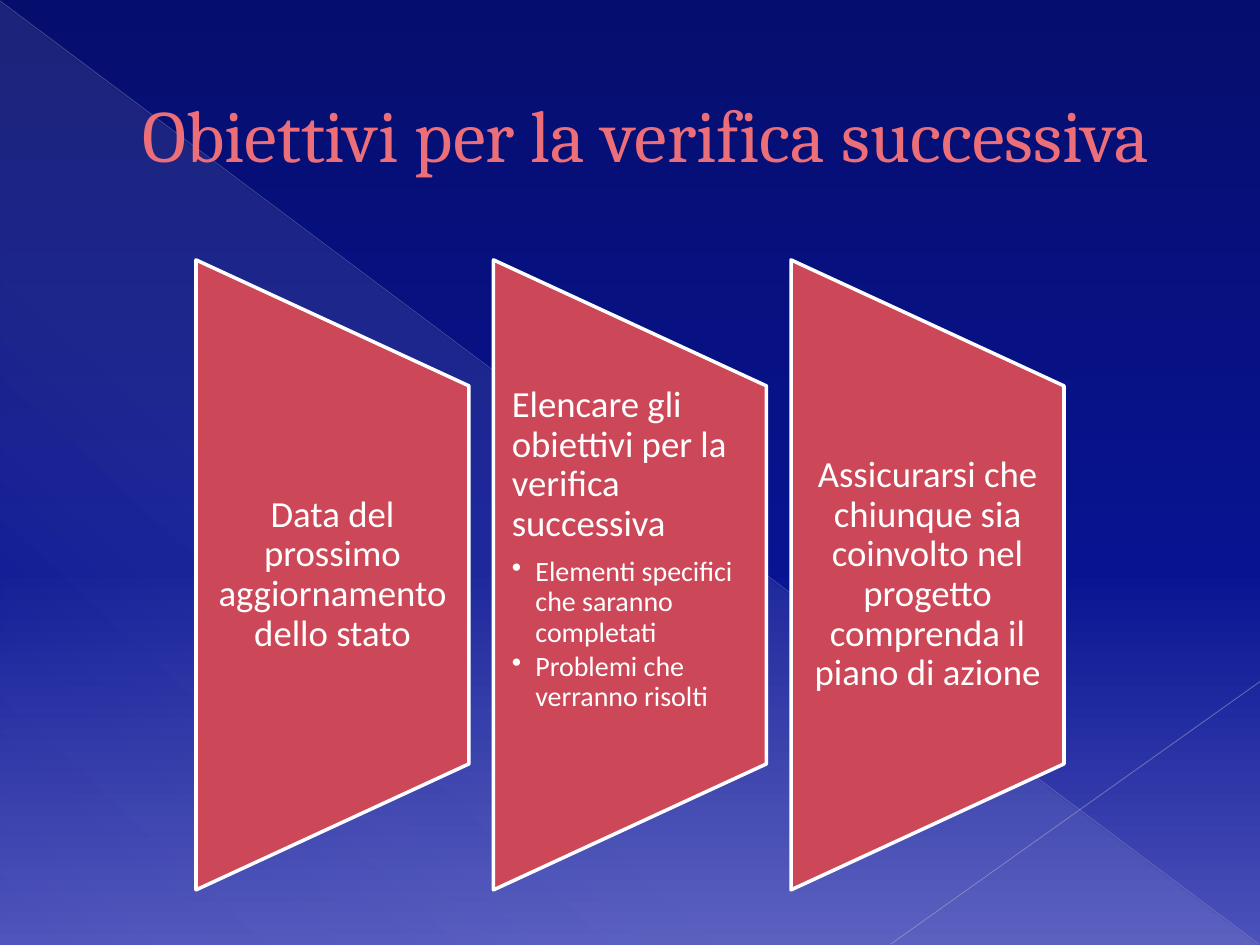
from lxml.etree import SubElement
from pptx import Presentation
from pptx.dml.color import RGBColor
from pptx.enum.shapes import MSO_CONNECTOR as Connector, MSO_SHAPE as Shape
from pptx.enum.text import MSO_ANCHOR as Anchor, PP_ALIGN as Align
from pptx.oxml import parse_xml
from pptx.oxml.ns import nsdecls, qn
from pptx.util import Pt

COLORS = {
    "night": "060E6D", "royal": "071391", "violet": "4C52BA",
    "white": "FFFFFF", "panel": "CC4757",
    "title": "EB6E78", "title_edge": "8D313C",
    "long_ray": "B1B2C7", "short_ray": "BABACD",
}


def rgb(name):
    return RGBColor.from_string(COLORS[name])


def gradient(stops, angle):
    """Gradient fill from (position %, colour, opacity %) stops."""
    marks = "".join(
        f'<a:gs pos="{position * 1000}"><a:srgbClr val="{COLORS[name]}">'
        f'<a:alpha val="{opacity * 1000}"/></a:srgbClr></a:gs>'
        for position, name, opacity in stops)
    return parse_xml(
        f'<a:gradFill {nsdecls("a")} rotWithShape="1"><a:gsLst>{marks}</a:gsLst>'
        f'<a:lin ang="{angle * 60000}" scaled="0"/></a:gradFill>')


class SlideBuilder:
    title_font, body_font = "Cambria", "Calibri"

    def __init__(self, page):
        self.page = page

    def background(self, stops, angle):
        fill = self.page.background.fill
        fill.solid()
        properties = self.page._element.cSld.bg.bgPr
        properties.replace(properties.find(qn("a:solidFill")), gradient(stops, angle))

    def shape(self, kind, left, top, width, height):
        shape = self.page.shapes.add_shape(
            kind, Pt(left), Pt(top), Pt(width), Pt(height))
        shape.shadow.inherit = False
        return shape

    def glow(self, left, top, width, height, stops, angle):
        shape = self.shape(Shape.RIGHT_TRIANGLE, left, top, width, height)
        shape.line.fill.background()
        shape.fill.solid()
        properties = shape._element.spPr
        properties.replace(properties.find(qn("a:solidFill")), gradient(stops, angle))

    def ray(self, start, end, color, width, opacity):
        line = self.page.shapes.add_connector(
            Connector.STRAIGHT, *(Pt(value) for value in start + end))
        line.line.color.rgb = rgb(color)
        line.line.width = Pt(width)
        properties = line._element.spPr
        tone = next(properties.iter(qn("a:srgbClr")))
        SubElement(tone, qn("a:alpha"), val=str(opacity * 1000))
        SubElement(properties, qn("a:effectLst"))

    def span(self, para, text, font, size, color):
        span = para.add_run()
        span.text = text
        span.font.name = font
        span.font.size = Pt(size)
        span.font.color.rgb = rgb(color)
        return span

    def title(self, text, left, top, width, height):
        title = self.page.shapes.title
        title.left, title.top, title.width, title.height = map(
            Pt, (left, top, width, height))
        # Bring the title in front of the backdrop
        self.page.shapes._spTree.append(title._element)
        title.text_frame.vertical_anchor = Anchor.MIDDLE
        para = title.text_frame.paragraphs[0]
        para.alignment = Align.LEFT
        para._p.get_or_add_pPr().set("marL", str(Pt(38)))
        span = self.span(para, text, self.title_font, 42, "title")
        span._r.get_or_add_rPr().insert(0, parse_xml(
            f'<a:ln {nsdecls("a")} w="{Pt(0.5)}"><a:solidFill>'
            f'<a:srgbClr val="{COLORS["title_edge"]}"/></a:solidFill></a:ln>'))

    def panel(self, left, top, width, height):
        # The preset is drawn lying down and turned by 270 degrees
        shape = self.shape(
            Shape.FLOWCHART_MANUAL_OPERATION,
            left + (width - height) / 2, top + (height - width) / 2, height, width)
        shape.rotation = 270
        shape.fill.solid()
        shape.fill.fore_color.rgb = rgb("panel")
        shape.line.color.rgb = rgb("white")
        shape.line.width = Pt(2)

    def panel_text(self, left, top, width, height, heading, bullets):
        box = self.page.shapes.add_textbox(Pt(left), Pt(top), Pt(width), Pt(height))
        frame = box.text_frame
        frame.word_wrap = True
        frame.margin_left = frame.margin_right = Pt(10.5)
        frame.margin_top = frame.margin_bottom = 0
        frame.vertical_anchor = Anchor.TOP if bullets else Anchor.MIDDLE
        para = frame.paragraphs[0]
        para.alignment = Align.LEFT if bullets else Align.CENTER
        para.line_spacing = 0.9
        para.space_after = Pt(7.35)
        self.span(para, heading, self.body_font, 21, "white")
        for text in bullets:
            para = frame.add_paragraph()
            para.level = 1
            para.line_spacing = 0.9
            para.space_after = Pt(2.4)
            properties = para._p.get_or_add_pPr()
            properties.set("marL", str(Pt(13.5)))
            properties.set("indent", str(-Pt(13.5)))
            SubElement(properties, qn("a:buChar"), char="•")
            self.span(para, text, self.body_font, 16, "white")


PANELS = [
    ("Data del prossimo aggiornamento dello stato", []),
    ("Elencare gli obiettivi per la verifica successiva",
     ["Elementi specifici che saranno completati", "Problemi che verranno risolti"]),
    ("Assicurarsi che chiunque sia coinvolto nel progetto comprenda il piano di azione",
     []),
]


def main():
    deck = Presentation()
    deck.slide_width, deck.slide_height = Pt(720), Pt(540)
    page = deck.slides.add_slide(deck.slide_layouts[5])
    builder = SlideBuilder(page)

    # Backdrop
    builder.background(
        [(0, "night", 100), (60, "royal", 100), (100, "violet", 100)], 90)
    builder.glow(0.5, 1, 719, 539,
                 [(0, "white", 10), (70, "white", 8), (100, "white", 1)], 133)
    builder.ray((0, 0.5), (719.5, 539.5), "long_ray", 0.39, 35)
    builder.ray((720, 389.5), (509, 539.5), "short_ray", 0.47, 45)

    # Title
    builder.title("Obiettivi per la verifica successiva", 36, 21, 648, 110)

    # Three panels at an equal pitch
    first_left, top, width, height, pitch = 112, 148.5, 156, 360, 170
    for index, (heading, bullets) in enumerate(PANELS):
        left = first_left + index * pitch
        builder.panel(left, top, width, height)
        builder.panel_text(left, top + height / 5, width, height * 3 / 5,
                           heading, bullets)

    deck.save("out.pptx")


if __name__ == "__main__":
    main()
